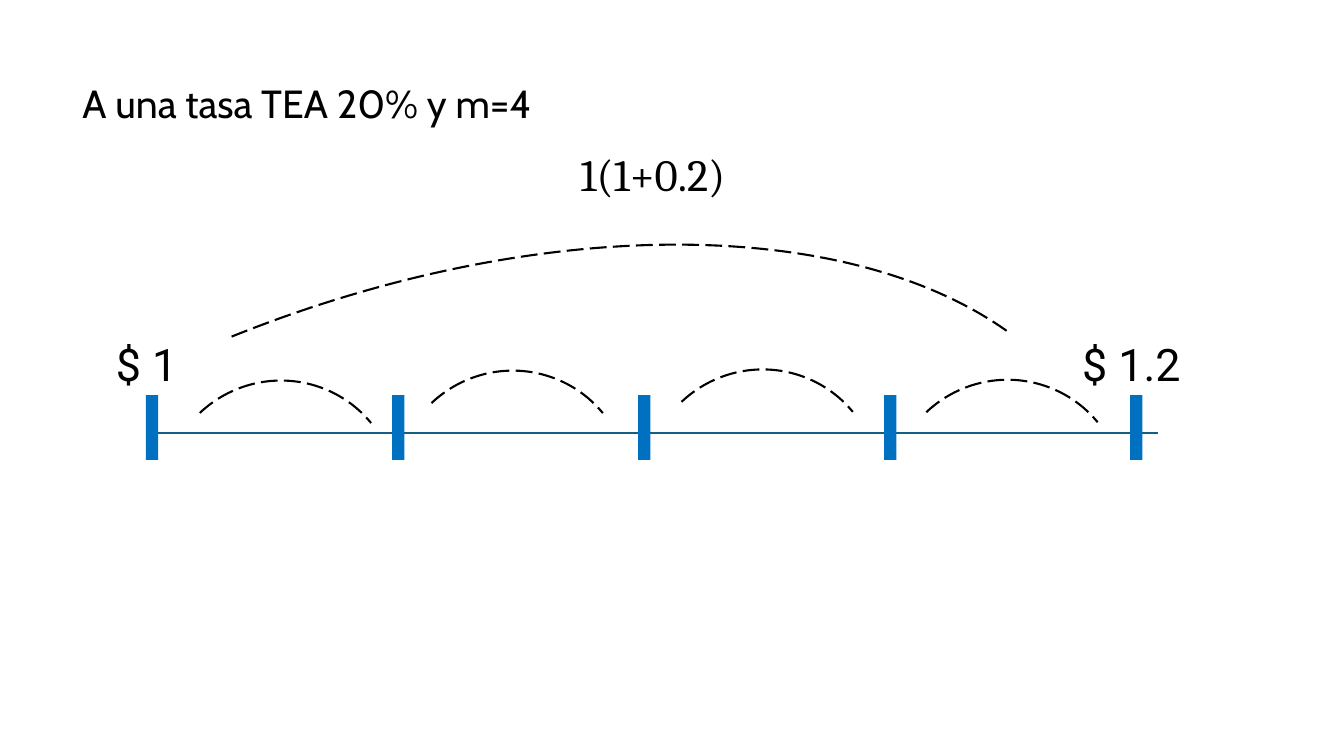
from pptx import Presentation
from pptx.dml.color import RGBColor
from pptx.enum.dml import MSO_LINE
from pptx.enum.shapes import MSO_CONNECTOR, MSO_SHAPE
from pptx.enum.text import MSO_AUTO_SIZE, PP_ALIGN
from pptx.oxml.ns import qn
from pptx.util import Cm, Pt
from lxml.etree import SubElement

BLACK, TEAL, BLUE = "000000", "156082", "0070C0"
PERIODS = 4
STEP = 6.2
TICK_W, TICK_H = 0.31, 1.63
LABEL_W, LABEL_H = 4.85, 1.63


def color(value):
    return RGBColor.from_string(value)


def add_text(s, box, text, font, size, align=PP_ALIGN.LEFT):
    sp = s.shapes.add_textbox(*map(Cm, box))
    tf = sp.text_frame
    tf.word_wrap = True
    tf.auto_size = MSO_AUTO_SIZE.SHAPE_TO_FIT_TEXT
    p = tf.paragraphs[0]
    p.alignment = align
    r = p.add_run()
    r.text = text
    r.font.name = font
    r.font.size = Pt(size)
    r.font.color.rgb = color(BLACK)


def add_arc(s, box, rotation, end):
    sp = s.shapes.add_shape(MSO_SHAPE.ARC, *map(Cm, box))
    sp.shadow.inherit = False
    sp.rotation = rotation
    sp.adjustments[0] = 162
    sp.adjustments[1] = end
    sp.fill.background()
    sp.line.color.rgb = color(BLACK)
    sp.line.width = Pt(1.5)
    sp.line.dash_style = MSO_LINE.LONG_DASH


def add_heading(s, left, top):
    add_text(s, (left, top, 16.43, 1.45), "A una tasa TEA 20% y m=4", "Cabin", 28)


def add_axis(s, left, top, width):
    axis_y = Cm(top + 0.94)
    line = s.shapes.add_connector(
        MSO_CONNECTOR.STRAIGHT, Cm(left), axis_y, Cm(left + width), axis_y)
    line.line.color.rgb = color(TEAL)
    line.line.width = Pt(1.5)
    SubElement(line._element.spPr, qn("a:effectLst"))
    for i in range(PERIODS + 1):
        tick = s.shapes.add_shape(
            MSO_SHAPE.RECTANGLE, Cm(left + i * STEP), Cm(top), Cm(TICK_W), Cm(TICK_H))
        tick.shadow.inherit = False
        tick.fill.solid()
        tick.fill.fore_color.rgb = color(BLUE)
        tick.line.fill.background()
    for x, amount in ((left - 2.41, "$ 1"), (left + 22.41, "$ 1.2")):
        add_text(s, (x, top - 1.6, LABEL_W, LABEL_H), amount, "Roboto", 32, PP_ALIGN.CENTER)


def add_growth(s, left, top):
    add_arc(s, (left - 13.13, top - 2.26, 38.66, 21.67), 338.1, 209.2)
    for dx, dy in ((0.41, -0.36), (6.25, -0.61), (12.55, -0.64), (18.72, -0.38)):
        add_arc(s, (left + dx, top + dy, 5.94, 5.89), 316.6, 2.38)
    add_text(s, (left + 9.22, top - 6.38, 7.11, 1.63), "1(1+0.2)", "Cambria", 32,
             PP_ALIGN.CENTER)


def main():
    prs = Presentation()
    prs.slide_width, prs.slide_height = Cm(33.87), Cm(19.05)
    s = prs.slides.add_slide(prs.slide_layouts[6])
    add_heading(s, 1.83, 1.88)
    add_axis(s, 3.68, 9.96, 25.5)
    add_growth(s, 3.68, 9.96)
    prs.save("out.pptx")


if __name__ == "__main__":
    main()
